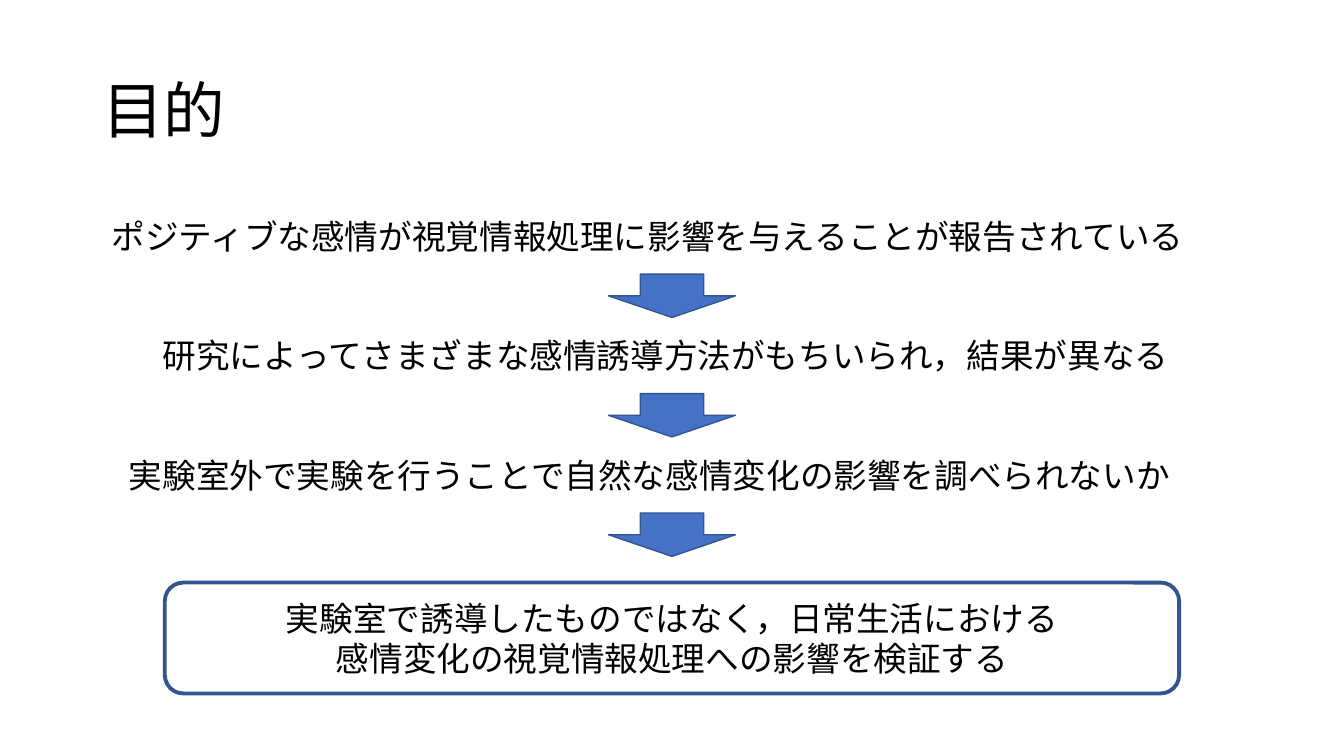
from dataclasses import dataclass

from lxml.etree import SubElement
from pptx import Presentation
from pptx.dml.color import RGBColor
from pptx.enum.shapes import MSO_SHAPE
from pptx.enum.text import MSO_ANCHOR, MSO_AUTO_SIZE, PP_ALIGN
from pptx.oxml.ns import qn
from pptx.util import Inches, Pt

SLIDE_WIDTH, SLIDE_HEIGHT = 13.33, 7.5
FIRST_ROW, ROW_PITCH = 2.09, 1.185
STEP_HEIGHT = 0.5
ARROW_OFFSET = 0.63

TITLE = "目的"
STEPS = [
    ("ポジティブな感情が視覚情報処理に影響を与えることが報告されている", 11.31),
    ("研究によってさまざまな感情誘導方法がもちいられ，結果が異なる", 10.3),
    ("実験室外で実験を行うことで自然な感情変化の影響を調べられないか", 10.97),
]
AIM = [
    "実験室で誘導したものではなく，日常生活における",
    "感情変化の視覚情報処理への影響を検証する",
]


@dataclass(frozen=True)
class Theme:
    font: str = "Noto Sans CJK JP"
    title_size: float = 44
    body_size: float = 24
    ink: RGBColor = RGBColor(0x00, 0x00, 0x00)
    accent: RGBColor = RGBColor(0x44, 0x72, 0xC4)
    outline: RGBColor = RGBColor(0x32, 0x54, 0x91)


THEME = Theme()


def centred(top, width, height):
    """Return the box of an element centred across the slide."""
    return [Inches(n) for n in ((SLIDE_WIDTH - width) / 2, top, width, height)]


def write(frame, lines, size, frame_format, **paragraph_format):
    for name, value in frame_format.items():
        setattr(frame, name, value)
    for index, line in enumerate(lines):
        paragraph = frame.paragraphs[0] if index == 0 else frame.add_paragraph()
        for name, value in paragraph_format.items():
            setattr(paragraph, name, value)
        run = paragraph.add_run()
        run.text = line
        run.font.size = Pt(size)
        run.font.color.rgb = THEME.ink
        run.font.name = THEME.font
        SubElement(run.font._element, qn("a:ea"), typeface=THEME.font)


def add_title(slide):
    heading = slide.shapes.add_textbox(*centred(0.4, 11.5, 1.45))
    write(heading.text_frame, [TITLE], THEME.title_size,
          {"word_wrap": True, "vertical_anchor": MSO_ANCHOR.MIDDLE},
          line_spacing=0.9)


def add_step(slide, sentence, top, width):
    step = slide.shapes.add_textbox(*centred(top, width, STEP_HEIGHT))
    write(step.text_frame, [sentence], THEME.body_size,
          {"word_wrap": False, "auto_size": MSO_AUTO_SIZE.SHAPE_TO_FIT_TEXT})


def add_outlined(slide, preset, box, line_width):
    outlined = slide.shapes.add_shape(preset, *box)
    outlined.shadow.inherit = False
    outlined.line.color.rgb = THEME.outline
    outlined.line.width = Pt(line_width)
    return outlined


def add_arrow(slide, top):
    arrow = add_outlined(slide, MSO_SHAPE.DOWN_ARROW, centred(top, 1.26, 0.43), 1)
    arrow.fill.solid()
    arrow.fill.fore_color.rgb = THEME.accent


def add_aim(slide):
    aim = add_outlined(slide, MSO_SHAPE.ROUNDED_RECTANGLE,
                       centred(5.78, 10.06, 1.1), 2.75)
    aim.fill.background()
    write(aim.text_frame, AIM, THEME.body_size,
          {"word_wrap": True, "vertical_anchor": MSO_ANCHOR.MIDDLE},
          alignment=PP_ALIGN.CENTER)


def main():
    deck = Presentation()
    deck.slide_width, deck.slide_height = Inches(SLIDE_WIDTH), Inches(SLIDE_HEIGHT)
    slide = deck.slides.add_slide(deck.slide_layouts[6])
    add_title(slide)
    for row, (sentence, width) in enumerate(STEPS):
        top = FIRST_ROW + row * ROW_PITCH
        add_step(slide, sentence, top, width)
        add_arrow(slide, top + ARROW_OFFSET)
    add_aim(slide)
    deck.save("out.pptx")


if __name__ == "__main__":
    main()
